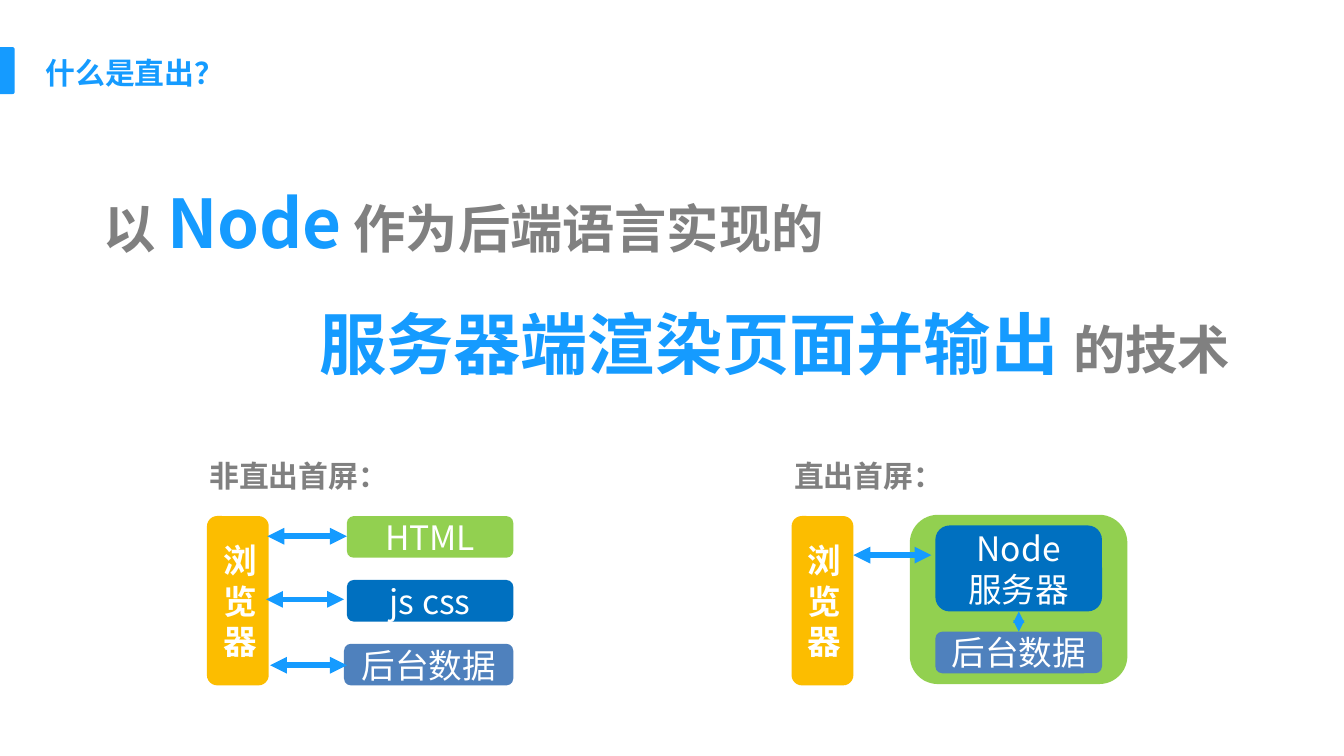
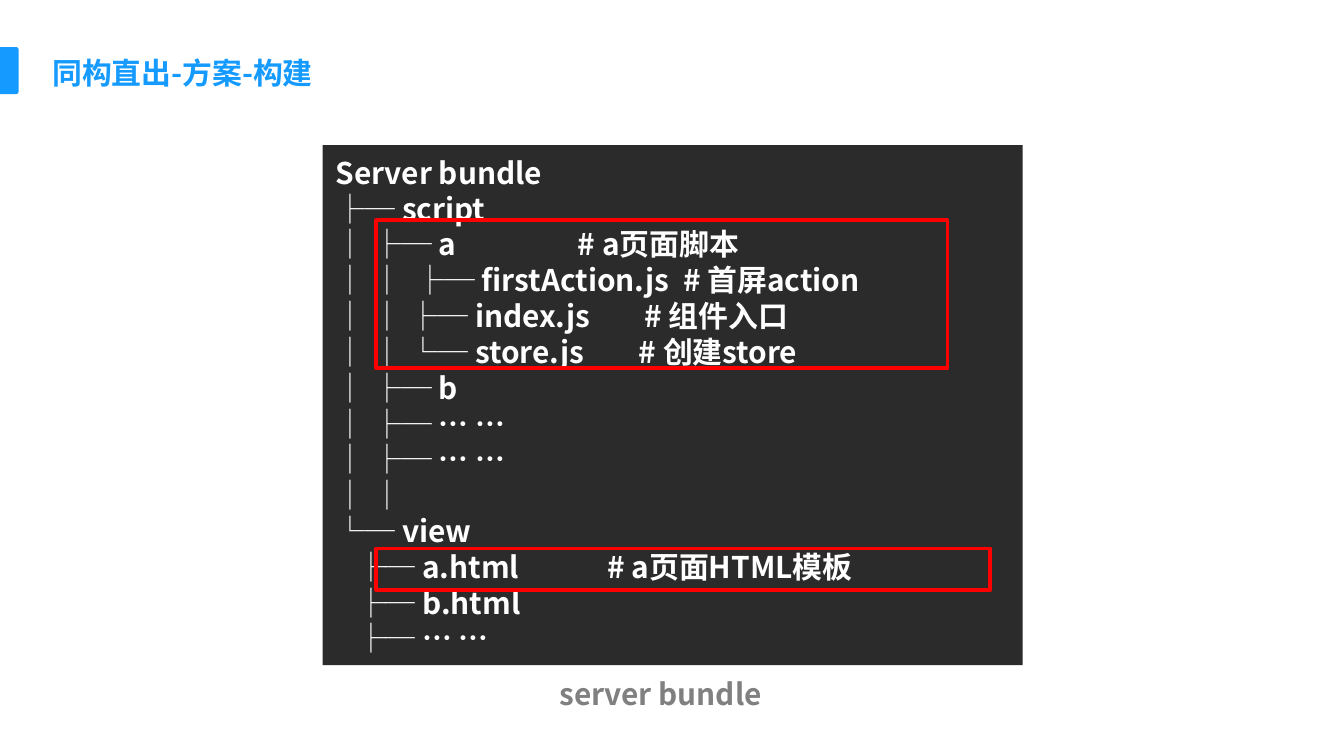
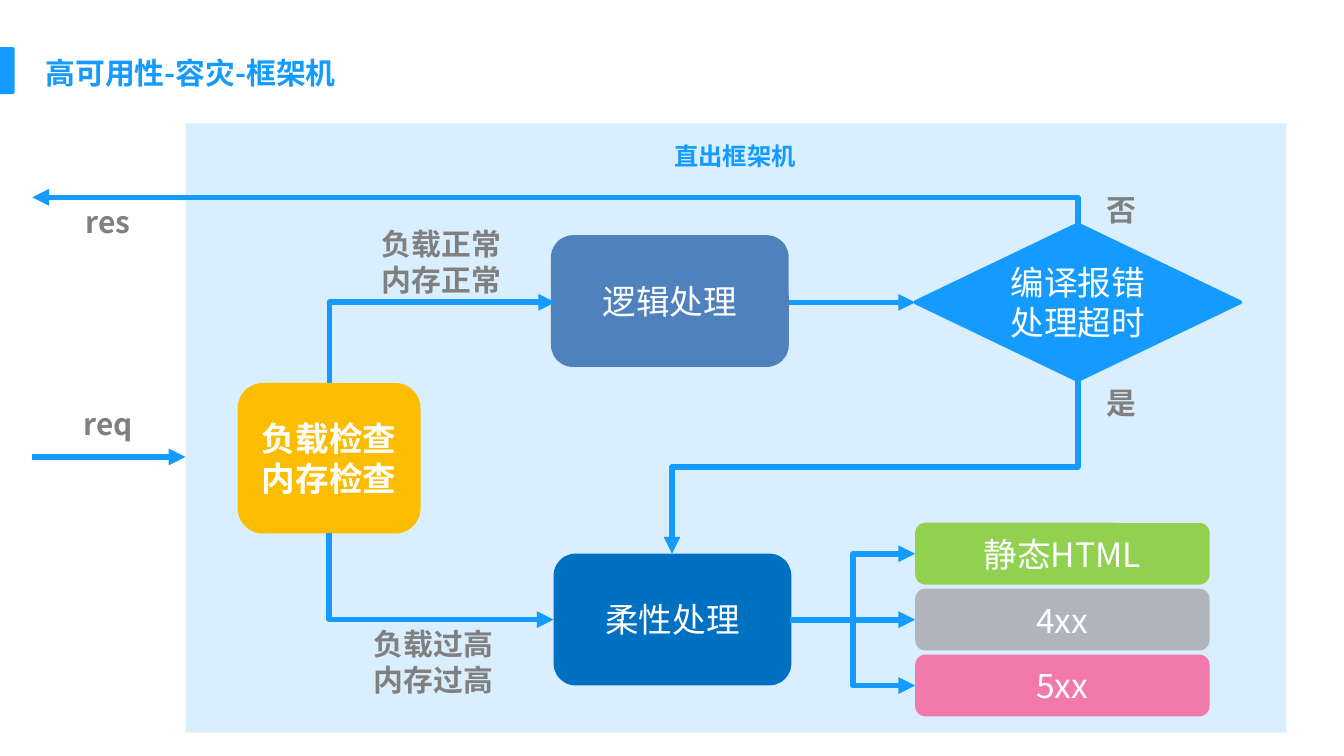
"""Build three slides on server-side direct output with Node."""
from dataclasses import dataclass
from typing import NamedTuple, Optional

from lxml.etree import SubElement
from pptx import Presentation
from pptx.dml.color import RGBColor
from pptx.enum.shapes import MSO_CONNECTOR as CONN, MSO_SHAPE as SHAPE
from pptx.enum.text import MSO_ANCHOR as ANCHOR, MSO_AUTO_SIZE as AUTO, PP_ALIGN as ALIGN
from pptx.oxml.ns import qn
from pptx.util import Pt

FONT = "Noto Sans CJK SC"
BLUE = RGBColor(0x15, 0x9B, 0xFF)
GRAY = RGBColor(0x80, 0x80, 0x80)
WHITE = RGBColor(0xFF, 0xFF, 0xFF)
AMBER = RGBColor(0xFC, 0xBD, 0x00)
STEEL = RGBColor(0x4F, 0x81, 0xBD)
NAVY = RGBColor(0x00, 0x70, 0xC0)
GREEN = RGBColor(0x92, 0xD0, 0x50)
SILVER = RGBColor(0xB0, 0xB4, 0xBC)
PINK = RGBColor(0xF1, 0x79, 0xAC)
PALE = RGBColor(0xD9, 0xEF, 0xFF)
RED = RGBColor(0xFF, 0x00, 0x00)
DARK = RGBColor(0x2B, 0x2B, 0x2B)

LABEL_W = 221
LINE_H = 26.6

SERVER_BUNDLE = """Server bundle
├─ script
│ ├─ a                  # a页面脚本
│ │  ├─ firstAction.js  # 首屏action
│ │ ├─ index.js        # 组件入口
│ │ └─ store.js        # 创建store
│ ├─ b
│ ├─ … …
│ ├─ … …
│ │
└─ view
   ├─ a.html             # a页面HTML模板
   ├─ b.html
   ├─ … …"""


class Span(NamedTuple):
    text: str
    size: float = 16
    color: RGBColor = GRAY
    bold: bool = True


@dataclass
class Box:
    x: float
    y: float
    w: float
    h: float
    fill: Optional[RGBColor] = None
    text: str = ""
    bold: bool = False
    size: float = 18
    kind: SHAPE = SHAPE.ROUNDED_RECTANGLE
    align: ALIGN = ALIGN.CENTER
    line: Optional[RGBColor] = None


class Arrow(NamedTuple):
    x1: float
    y1: float
    x2: float
    y2: float
    both: bool = False
    width: float = 3
    route: str = "straight"


def add_span(p, span: Span) -> None:
    r = p.add_run()
    r.text = span.text
    fmt = {"name": FONT, "size": Pt(span.size), "bold": span.bold}
    for key, value in fmt.items():
        setattr(r.font, key, value)
    r.font.color.rgb = span.color
    SubElement(r.font._element, qn("a:ea")).set("typeface", FONT)


def write(tf, rows: list[list[Span]], align: ALIGN = ALIGN.LEFT,
          anchor: ANCHOR = ANCHOR.TOP) -> None:
    fmt = {"word_wrap": True, "auto_size": AUTO.NONE, "vertical_anchor": anchor}
    for key, value in fmt.items():
        setattr(tf, key, value)
    for i, row in enumerate(rows):
        p = tf.paragraphs[0] if i == 0 else tf.add_paragraph()
        p.alignment = align
        for span in row:
            add_span(p, span)


def add_box(s, box: Box):
    sp = s.shapes.add_shape(box.kind, *map(Pt, (box.x, box.y, box.w, box.h)))
    sp.shadow.inherit = False
    if box.fill is None:
        sp.fill.background()
    else:
        sp.fill.solid()
        sp.fill.fore_color.rgb = box.fill
    if box.line is None:
        sp.line.fill.background()
    else:
        sp.line.color.rgb = box.line
        sp.line.width = Pt(2)
    if box.text:
        rows = [[Span(t, box.size, WHITE, box.bold)] for t in box.text.split("\n")]
        write(sp.text_frame, rows, box.align, ANCHOR.MIDDLE)
    return sp


def add_text(s, x: float, y: float, w: float, h: float,
             rows: list[list[Span]], align: ALIGN = ALIGN.LEFT):
    tf = s.shapes.add_textbox(*map(Pt, (x, y, w, h))).text_frame
    write(tf, rows, align)
    return tf


def add_label(s, cx: float, y: float, text: str, size: float = 16,
              color: RGBColor = GRAY) -> None:
    rows = [[Span(t, size, color)] for t in text.split("\n")]
    add_text(s, cx - LABEL_W / 2, y, LABEL_W, LINE_H + 19.4 * (len(rows) - 1), rows, ALIGN.CENTER)


def turn_upright(cxn, a: Arrow) -> None:
    right, down = a.x2 > a.x1, a.y2 > a.y1
    w, h = abs(a.y2 - a.y1), abs(a.x2 - a.x1)
    fmt = {"left": (a.x1 + a.x2 - w) / 2, "top": (a.y1 + a.y2 - h) / 2, "width": w, "height": h}
    for key, value in fmt.items():
        setattr(cxn, key, Pt(value))
    xfrm = cxn._element.spPr.find(qn("a:xfrm"))
    xfrm.set("rot", "16200000" if right == down else "5400000")
    xfrm.set("flipH", str(int(right)))
    xfrm.set("flipV", str(int(not down)))
    if a.route == "corner":
        cxn._element.spPr.find(qn("a:prstGeom")).set("prst", "bentConnector2")


def add_arrow(s, a: Arrow) -> None:
    kind = CONN.STRAIGHT if a.route == "straight" else CONN.ELBOW
    cxn = s.shapes.add_connector(kind, *map(Pt, (a.x1, a.y1, a.x2, a.y2)))
    if a.route in ("corner", "upright"):
        turn_upright(cxn, a)
    cxn.line.color.rgb = BLUE
    cxn.line.width = Pt(a.width)
    ln = cxn.line._get_or_add_ln()
    SubElement(ln, qn("a:round"))
    for end in ("headEnd", "tailEnd") if a.both else ("tailEnd",):
        SubElement(ln, qn(f"a:{end}")).set("type", "triangle")
    SubElement(cxn._element.spPr, qn("a:effectLst"))


def add_slide(prs, title: str, x: float = 17.3, w: float = 224, bar_w: float = 17.3):
    s = prs.slides.add_slide(prs.slide_layouts[5])
    sp = s.shapes.title
    sp.left, sp.top, sp.width, sp.height = map(Pt, (x, 25.9, w, LINE_H))
    write(sp.text_frame, [[Span(title, color=BLUE)]])
    bar = add_box(s, Box(-9.4, 25.2, bar_w, 25.2, BLUE))
    bar.adjustments[0] = 0.07
    return s


def build_definition(prs) -> None:
    s = add_slide(prs, "什么是直出？")
    tf = add_text(s, 48.2, 72, 617.8, 138.2, [
        [Span("以 ", 28), Span("Node", 36, BLUE), Span(" 作为后端语言实现的", 28)],
        [Span("服务器端渲染页面并输出 ", 36, BLUE), Span("的技术", 28)],
    ])
    for p in tf.paragraphs:
        p.line_spacing = 1.5
    tf.paragraphs[1].alignment = ALIGN.RIGHT

    add_box(s, Box(487.4, 275.8, 116.6, 90.7, GREEN))
    for x, heading in ((105.1, "非直出首屏："), (418.3, "直出首屏：")):
        add_text(s, x, 241.9, 16 * len(heading) + 15.6, LINE_H, [[Span(heading)]])
        add_box(s, Box(x + 5.8, 276.5, 33.1, 90.7, AMBER, "浏览器", True))

    requests = (("HTML", GREEN, 185.8), ("js css", NAVY, 185.8), ("后台数据", STEEL, 184.3))
    for i, (text, fill, x) in enumerate(requests):
        add_box(s, Box(x, 276.5 + 34.2 * i, 275 - x, 22.3, fill, text))
    add_box(s, Box(501.1, 338.4, 89.3, 22.3, STEEL, "后台数据"))
    add_box(s, Box(501.1, 281.5, 89.3, 46.1, NAVY, "Node\n服务器"))
    for a in (
        Arrow(143.3, 287.3, 185.8, 287.3, True),
        Arrow(144.7, 356.4, 185.8, 356.4, True),
        Arrow(184.3, 321.1, 142.6, 321.1, True),
        Arrow(457.2, 297.4, 499, 297.4, True),
        Arrow(545.8, 327.6, 545.8, 338.4, True, 0),
    ):
        add_arrow(s, a)


def build_bundle(prs) -> None:
    s = add_slide(prs, "同构直出-方案-构建", 20.9, 254, 19.4)
    add_box(s, Box(172.8, 77.8, 375.1, 278.6, DARK, SERVER_BUNDLE, True, 16,
                   SHAPE.RECTANGLE, ALIGN.LEFT))
    for y, w, h in ((118.1, 306, 79.2), (293.8, 329, 22.3)):
        add_box(s, Box(201.6, y, w, h, kind=SHAPE.RECTANGLE, line=RED))
    add_label(s, 353.9, 358.6, "server bundle")


def build_failover(prs) -> None:
    s = add_slide(prs, "高可用性-容灾-框架机")
    add_box(s, Box(99.4, 66.2, 589.7, 326.2, PALE, kind=SHAPE.RECTANGLE))
    add_label(s, 393.8, 72, "直出框架机", 13, BLUE)

    top_y, low_y, step, out_x = 162, 332, 35.3, 490.3
    for box in (
        Box(127.4, 205.2, 97.9, 80.6, AMBER, "负载检查\n内存检查", True),
        Box(295.2, 126, 127.4, 70.6, STEEL, "逻辑处理"),
        Box(out_x, 120.2, 174.2, 83.5, BLUE, "编译报错\n处理超时",
            kind=SHAPE.FLOWCHART_DECISION, line=BLUE),
        Box(296.6, 296.6, 127.4, 70.6, NAVY, "柔性处理"),
    ):
        add_box(s, box)
    outputs = (("静态HTML", GREEN), ("4xx", SILVER), ("5xx", PINK))
    for i, (text, fill) in enumerate(outputs):
        add_box(s, Box(out_x, 280.1 + step * i, 157.7, 33.1, fill, text))

    for a in (
        Arrow(17.3, 244.8, 99.4, 244.8),
        Arrow(422.6, top_y, out_x, top_y),
        Arrow(176.4, 285.8, 296.6, low_y, route="corner"),
        Arrow(176.4, 205.2, 297.4, top_y, route="corner"),
        Arrow(577.4, 203.8, 360, 296.6, route="upright"),
        Arrow(577.4, 120.2, 17.3, 105.8, route="corner"),
        Arrow(423, low_y, out_x, low_y),
        Arrow(423.4, low_y, out_x, low_y - step, route="level"),
        Arrow(423.4, low_y, out_x, low_y + step, route="level"),
    ):
        add_arrow(s, a)
    for cx, y, text in (
        (58, 213.8, "req"),
        (58, 105.8, "res"),
        (236.5, 117.4, "负载正常\n内存正常"),
        (232.2, 331.9, "负载过高\n内存过高"),
        (600.8, 202.3, "是"),
        (600.8, 99.4, "否"),
    ):
        add_label(s, cx, y, text)


def main() -> None:
    prs = Presentation()
    prs.slide_width, prs.slide_height = Pt(720), Pt(405)
    for build in (build_definition, build_bundle, build_failover):
        build(prs)
    prs.save("out.pptx")


if __name__ == "__main__":
    main()
